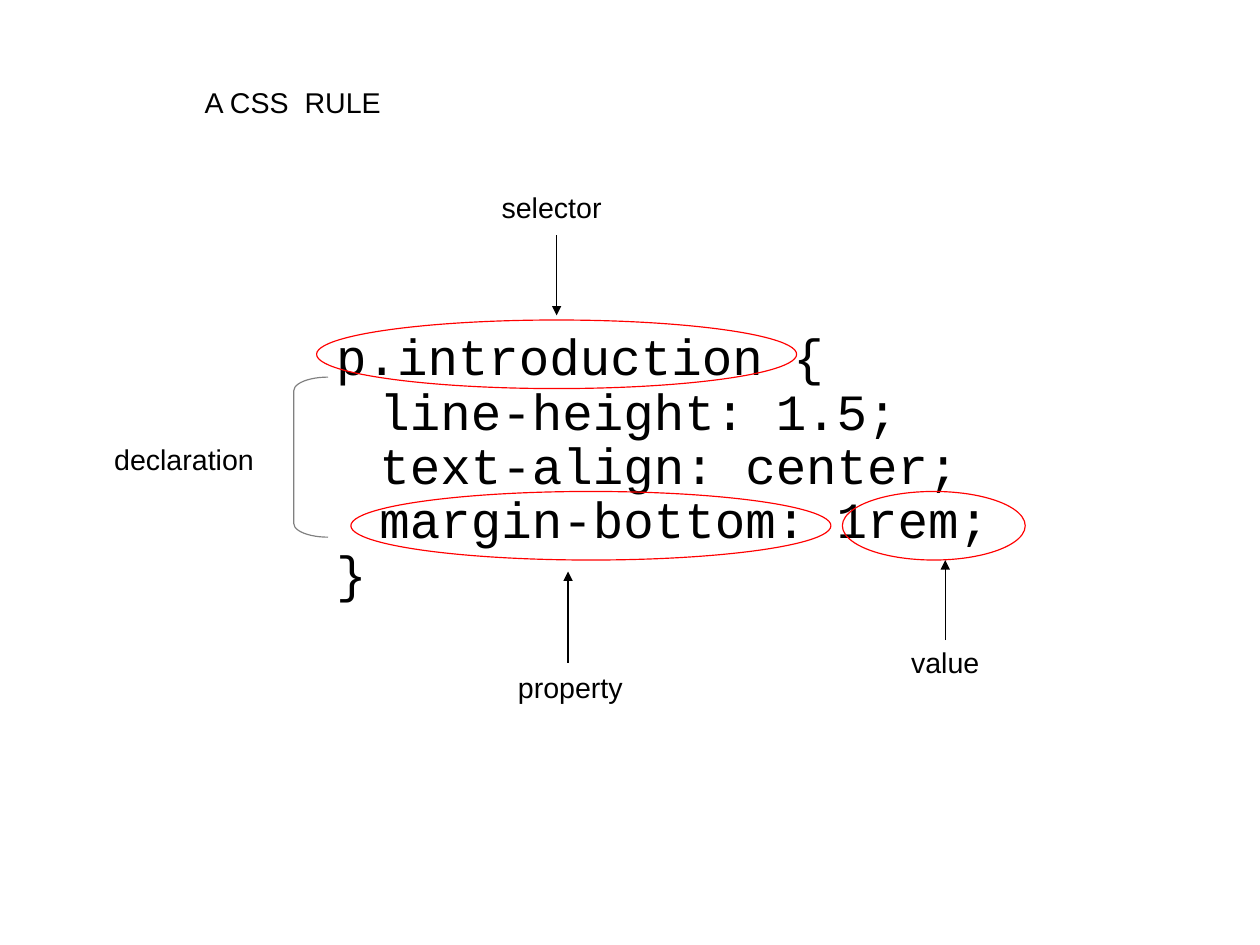
from pptx import Presentation
from pptx.dml.color import RGBColor
from pptx.enum.shapes import MSO_CONNECTOR, MSO_SHAPE
from pptx.enum.text import MSO_ANCHOR, MSO_AUTO_SIZE, PP_ALIGN
from pptx.oxml.ns import qn
from pptx.util import Cm, Pt
from lxml.etree import SubElement

PX = 9144  # 100 px to the inch
BLACK, RED, GREY = "000000", "FF0000", "808080"


def color(value):
    return RGBColor.from_string(value)


def write(sp, lines, font="Arial", size=18, align=PP_ALIGN.LEFT, spacing=0.93,
          anchor=MSO_ANCHOR.TOP, insets=(10, 7, 10, 5), wrap=True):
    tf = sp.text_frame
    tf.auto_size = MSO_AUTO_SIZE.NONE
    tf.word_wrap, tf.vertical_anchor = wrap, anchor
    tf.margin_left, tf.margin_top, tf.margin_right, tf.margin_bottom = [
        n * PX for n in insets]
    for i, (text, indent) in enumerate(lines):
        p = tf.add_paragraph() if i else tf.paragraphs[0]
        p.alignment, p.line_spacing = align, spacing
        if indent:
            p._p.get_or_add_pPr().set("marL", str(indent * PX))
        r = p.add_run()
        r.text = text
        r.font.name, r.font.size = font, Pt(size)
        r.font.color.rgb = color(BLACK)


prs = Presentation()
prs.slide_width, prs.slide_height = Cm(28), Cm(21)
s = prs.slides.add_slide(prs.slide_layouts[5])

# Title
title = s.shapes.title
title.left, title.top, title.width, title.height = [
    n * PX for n in (169, 70, 680, 38)]
write(title, [("A CSS  RULE", 0)])

# CSS code
code = s.shapes.add_textbox(294 * PX, 134 * PX, 685 * PX, 546 * PX)
write(code, [("p.introduction {", 0),
             ("line-height: 1.5;", 38),
             ("text-align: center;", 38),
             ("margin-bottom: 1rem;", 38),
             ("}", 0)],
      font="Courier New", size=32, spacing=0.89,
      anchor=MSO_ANCHOR.MIDDLE, insets=(0, 5, 0, 0))

# Ellipses around the parts and bracket beside the declarations
for kind, x, y, w, h, line in [
        (MSO_SHAPE.OVAL, 277, 280, 420, 60, RED),
        (MSO_SHAPE.OVAL, 307, 430, 420, 60, RED),
        (MSO_SHAPE.OVAL, 737, 430, 160, 60, RED),
        (MSO_SHAPE.LEFT_BRACKET, 257, 330, 30, 140, GREY)]:
    sp = s.shapes.add_shape(kind, x * PX, y * PX, w * PX, h * PX)
    sp.shadow.inherit = False
    sp.fill.background()
    sp.line.color.rgb, sp.line.width = color(line), Pt(0.75)
    if kind == MSO_SHAPE.LEFT_BRACKET:
        sp.adjustments[0] = 0.4

# Arrows from the labels to the parts
for x, y1, y2 in [(487, 206, 276), (497, 580, 500), (827, 560, 490)]:
    arrow = s.shapes.add_connector(
        MSO_CONNECTOR.STRAIGHT, x * PX, y1 * PX, x * PX, y2 * PX)
    arrow.line.color.rgb, arrow.line.width = color(BLACK), Pt(0.75)
    SubElement(arrow.line._get_or_add_ln(), qn("a:tailEnd"), type="triangle")
    SubElement(arrow._element.spPr, qn("a:effectLst"))

# Labels
for text, x, y, w, align, wrap in [
        ("selector", 429, 162, 170, PP_ALIGN.LEFT, True),
        ("property", 419, 582, 160, PP_ALIGN.CENTER, True),
        ("value", 747, 560, 160, PP_ALIGN.CENTER, True),
        ("declaration", 90, 382, 142, PP_ALIGN.LEFT, False)]:
    label = s.shapes.add_textbox(x * PX, y * PX, w * PX, 38 * PX)
    write(label, [(text, 0)], align=align, wrap=wrap)

prs.save("out.pptx")
